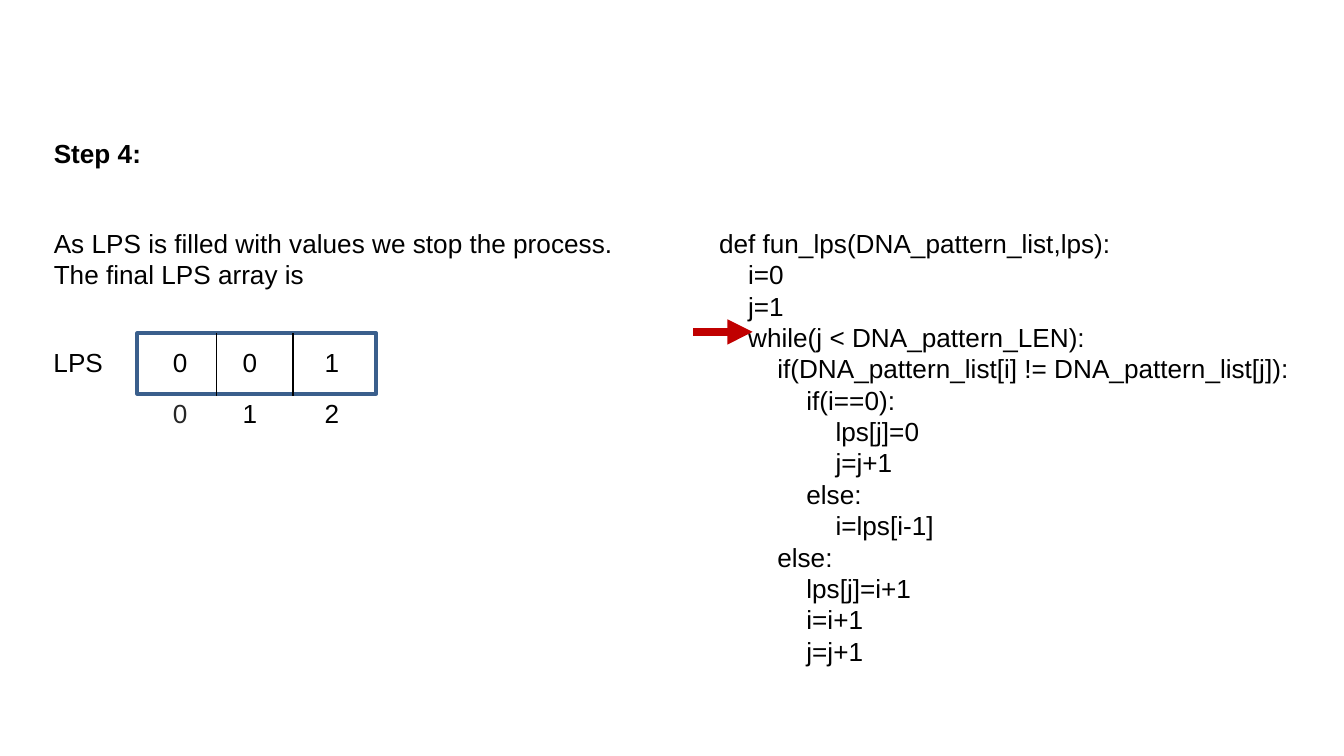
from dataclasses import dataclass

from lxml import etree
from pptx import Presentation
from pptx.dml.color import RGBColor
from pptx.enum.shapes import MSO_CONNECTOR, MSO_SHAPE
from pptx.enum.text import MSO_ANCHOR, MSO_AUTO_SIZE, PP_ALIGN
from pptx.oxml.ns import qn
from pptx.util import Inches, Pt

STRAIGHT = MSO_CONNECTOR.STRAIGHT
RECTANGLE = MSO_SHAPE.RECTANGLE
LEFT, CENTER = PP_ALIGN.LEFT, PP_ALIGN.CENTER
TWO_CONTENT_LAYOUT = 3


@dataclass(frozen=True)
class Theme:
    font: str = "Arial"
    size: float = 14
    line_spacing: float = 16.8
    indent_step: float = 15.6
    text: str = "000000"
    muted: str = "262626"
    frame: str = "3A5F8C"
    pointer: str = "C00000"


THEME = Theme()

TITLE = "Step 4:"
EXPLANATION = [
    (0, "As LPS is filled with values we stop the process."),
    (0, "The final LPS array is"),
]
CODE = [  # (indent level, statement)
    (0, "def fun_lps(DNA_pattern_list,lps):"),
    (1, "i=0"),
    (1, "j=1"),
    (1, "while(j < DNA_pattern_LEN):"),
    (2, "if(DNA_pattern_list[i] != DNA_pattern_list[j]):"),
    (3, "if(i==0):"),
    (4, "lps[j]=0"),
    (4, "j=j+1"),
    (3, "else:"),
    (4, "i=lps[i-1]"),
    (2, "else:"),
    (3, "lps[j]=i+1"),
    (3, "i=i+1"),
    (3, "j=j+1"),
]
ARRAY_NAME = "LPS"
LPS_VALUES = [0, 0, 1]

# Layout in inches
SLIDE_WIDTH = 10
SLIDE_HEIGHT = SLIDE_WIDTH * 9 / 16
MARGIN = 0.3
BODY_TOP = 1.64
CODE_LEFT = 5.25
LINE_HEIGHT = 0.34
ARRAY_LEFT, ARRAY_TOP, ARRAY_WIDTH, ARRAY_HEIGHT = 1.02, 2.48, 1.78, 0.45
DIVIDERS = [1.61, 2.18]
DIVIDER_BOTTOM = 2.95
DIGIT_CENTERS = [1.34, 1.86, 2.47]
DIGIT_WIDTH = 0.31
VALUE_TOP, INDEX_TOP = 2.53, 2.91
POINTER_LEFT, POINTER_RIGHT, POINTER_Y = 5.16, 5.6, 2.47


def color(value):
    return RGBColor.from_string(value)


def place(shape, left, top, width, height):
    shape.left, shape.top = Inches(left), Inches(top)
    shape.width, shape.height = Inches(width), Inches(height)


def write(shape, lines, text_color=THEME.text, bold=False, align=LEFT):
    """Fill a shape with (indent level, text) lines in the theme's type."""
    frame = shape.text_frame
    frame.text = "\n".join(text for _, text in lines)
    frame.word_wrap = True
    frame.auto_size = MSO_AUTO_SIZE.NONE
    frame.vertical_anchor = MSO_ANCHOR.TOP
    for paragraph, (level, _) in zip(frame.paragraphs, lines):
        paragraph.alignment = align
        paragraph.line_spacing = Pt(THEME.line_spacing)
        paragraph.space_before = paragraph.space_after = Pt(0)
        properties = paragraph._p.get_or_add_pPr()
        properties.set("marL", str(Pt(level * THEME.indent_step)))
        properties.set("indent", "0")
        etree.SubElement(properties, qn("a:buNone"))
        for run in paragraph.runs:
            font = run.font
            font.name, font.size, font.bold = THEME.font, Pt(THEME.size), bold
            font.color.rgb = color(text_color)


def add_label(slide, text, left, top, width, **style):
    box = slide.shapes.add_textbox(
        Inches(left), Inches(top), Inches(width), Inches(LINE_HEIGHT))
    write(box, [(0, str(text))], **style)


def add_line(slide, start, end, line_color, width):
    line = slide.shapes.add_connector(STRAIGHT, *map(Inches, start + end))
    line.line.color.rgb = color(line_color)
    line.line.width = Pt(width)
    etree.SubElement(line._element.spPr, qn("a:effectLst"))
    return line


def add_array(slide):
    frame = slide.shapes.add_shape(RECTANGLE, *map(
        Inches, (ARRAY_LEFT, ARRAY_TOP, ARRAY_WIDTH, ARRAY_HEIGHT)))
    frame.shadow.inherit = False
    frame.fill.background()
    frame.line.color.rgb = color(THEME.frame)
    frame.line.width = Pt(2)
    for x in DIVIDERS:
        add_line(slide, (x, ARRAY_TOP), (x, DIVIDER_BOTTOM), THEME.text, 0.75)

    add_label(slide, ARRAY_NAME, MARGIN, VALUE_TOP, 0.6)
    for index, (value, center) in enumerate(zip(LPS_VALUES, DIGIT_CENTERS)):
        left = center - DIGIT_WIDTH / 2
        index_color = THEME.muted if index == 0 else THEME.text
        add_label(slide, value, left, VALUE_TOP, DIGIT_WIDTH, align=CENTER)
        add_label(slide, index, left, INDEX_TOP, DIGIT_WIDTH,
                  text_color=index_color, align=CENTER)


def add_code_pointer(slide):
    pointer = add_line(slide, (POINTER_LEFT, POINTER_Y),
                       (POINTER_RIGHT, POINTER_Y), THEME.pointer, 4.5)
    etree.SubElement(pointer.line._get_or_add_ln(), qn("a:tailEnd"),
                     type="triangle")


def main():
    presentation = Presentation()
    presentation.slide_width = Inches(SLIDE_WIDTH)
    presentation.slide_height = Inches(SLIDE_HEIGHT)
    slide = presentation.slides.add_slide(
        presentation.slide_layouts[TWO_CONTENT_LAYOUT])

    title, explanation, code = list(slide.placeholders)[:3]
    place(title, MARGIN, 0.97, 0.9, LINE_HEIGHT)
    write(title, [(0, TITLE)], bold=True)
    place(explanation, MARGIN, BODY_TOP, 4.4, 0.57)
    write(explanation, EXPLANATION)
    place(code, CODE_LEFT, BODY_TOP, 4.5, 3.64)
    write(code, CODE)

    add_array(slide)
    add_code_pointer(slide)
    presentation.save("out.pptx")


if __name__ == "__main__":
    main()
